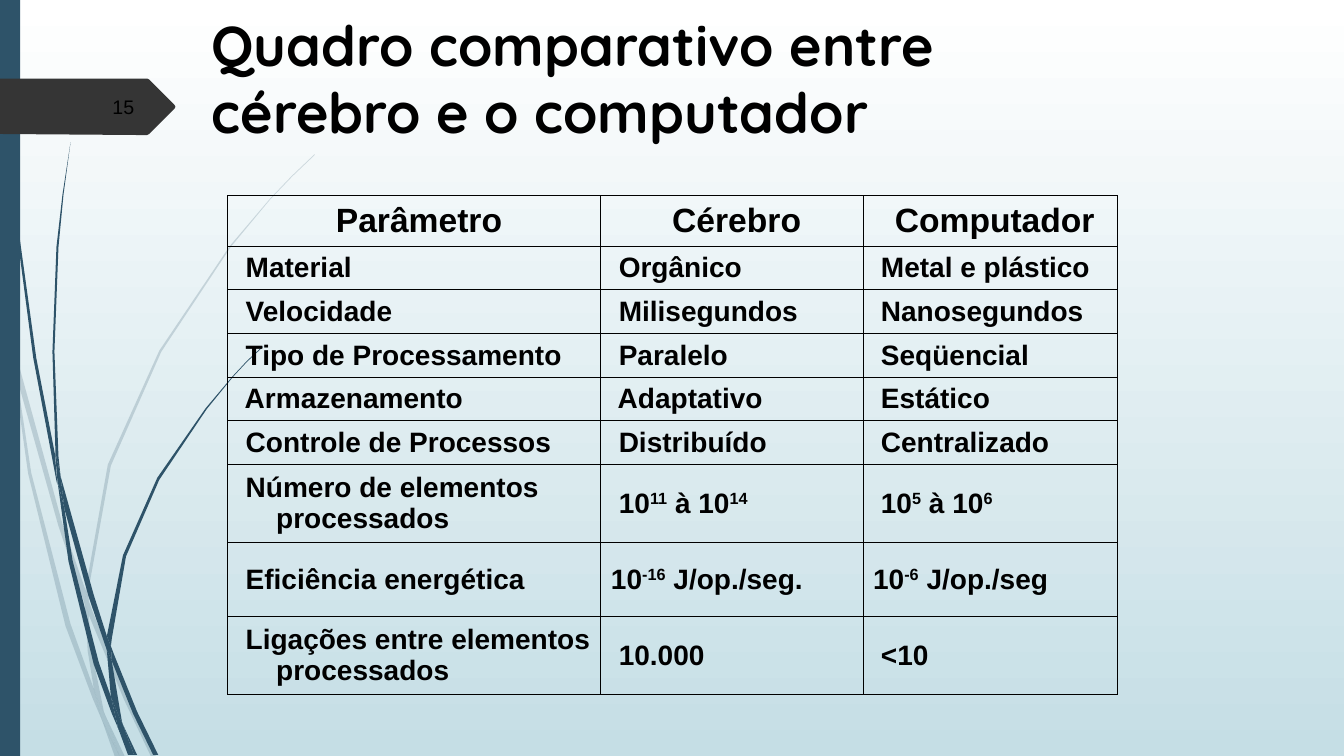
from dataclasses import dataclass
from typing import Any

from lxml import etree
from pptx import Presentation
from pptx.dml.color import RGBColor
from pptx.enum.shapes import MSO_SHAPE
from pptx.enum.text import MSO_ANCHOR, MSO_AUTO_SIZE, PP_ALIGN
from pptx.oxml.ns import qn
from pptx.util import Inches, Pt

RECT = MSO_SHAPE.RECTANGLE
TOP, MIDDLE = MSO_ANCHOR.TOP, MSO_ANCHOR.MIDDLE
LEFT, CENTER, RIGHT = PP_ALIGN.LEFT, PP_ALIGN.CENTER, PP_ALIGN.RIGHT
NO_FIT = MSO_AUTO_SIZE.NONE
BLACK, BLUE, GRAY = "000000", "2E5369", "353535"


@dataclass(frozen=True)
class Plant:
    alpha: int
    stems: tuple[str, ...]


PALE = Plant(20, (
    "11,350 9,322 0,282 0,299 10,344",
    "58,522 84,599 85,586 62,520 14,345 17,376",
    "92,607 88,596 88,610 123,694 150,751 155,751 127,692",
    "119,751 124,751 105,711",
    "93,683 70,619 31,469 17,376 11,350 28,470 65,621 92,693 101,714 99,707",
    "84,599 87,646 93,683 96,692 105,711 103,706 91,646 88,610 88,608",
    "88,584 110,462 160,349 229,245 268,198 290,175 312,154 312,153 289,175 "
    "268,197 228,244 158,348 107,461 85,584 85,586 88,596",
    "101,714 114,751 119,751",
    "88,608 88,610 88,596 85,586 84,599",
    "96,692 93,683 99,707 101,714 119,751 105,711",
))
DARK = Plant(100, (
    "7,110 17,233 33,355 56,477 57,481 55,457 55,453 36,355 19,232 8,109 "
    "5,48 4,0 3,0 4,48",
    "88,592 106,645 106,633 106,631 93,590 60,472 64,505",
    "113,649 110,641 111,656 132,708 152,749 157,749 136,706",
    "110,691 98,657 72,556 64,505 57,477 68,557 93,659 111,708 117,722 116,717",
    "60,472 58,453 54,349 58,245 63,193 70,141 62,193 56,245 52,349 55,449",
    "133,749 136,749 122,719",
    "57,477 64,505 60,472 55,449 55,453",
    "111,633 125,552 158,476 205,406 231,374 245,359 261,344 260,344 "
    "245,358 231,373 204,405 156,474 122,551 106,631 110,641",
    "117,722 127,749 131,749",
    "106,645 110,691 116,706 122,719 121,716 111,656 109,651",
    "106,645 109,651 111,656 110,641 106,631 106,633",
    "116,706 110,691 116,717 117,722 130,749 133,749 122,719",
))
TAG = ("173,108 148,133 146,134 136,134 0,133 0,78 136,78 146,78 "
       "148,79 173,104 174,106")

ROWS = (
    (" Parâmetro", " Cérebro", " Computador"),
    (" Material", " Orgânico", " Metal e plástico"),
    (" Velocidade", " Milisegundos", " Nanosegundos"),
    (" Tipo de Processamento", " Paralelo", " Seqüencial"),
    (" Armazenamento", " Adaptativo", " Estático"),
    (" Controle de Processos", " Distribuído", " Centralizado"),
    (" Número de elementos processados", " 10^11^ à 10^14", " 10^5^ à 10^6"),
    (" Eficiência energética", "10^-16^ J/op./seg.", "10^-6^ J/op./seg"),
    (" Ligações entre elementos processados", " 10.000", " <10"),
)
WIDTHS = (3.7, 2.6, 2.52)
HEIGHTS = (0.5, *[2.17 / 5] * 5, 0.77, 0.74, 0.77)


def color(code: str) -> RGBColor:
    return RGBColor.from_string(code)


def style(item: Any, form: dict[str, Any]) -> None:
    for name, value in form.items():
        setattr(item, name, value)


def write(para: Any, text: str, face: str, size: int, bold: bool) -> None:
    for spot, part in enumerate(text.split("^")):
        run = para.add_run()
        run.text = part
        style(run.font, {"name": face, "size": Pt(size), "bold": bold})
        run.font.color.rgb = color(BLACK)
        if spot % 2:
            run._r.get_or_add_rPr().set("baseline", "30000")


def paint(shape: Any, code: str, alpha: int = 100) -> None:
    shape.shadow.inherit = False
    shape.line.fill.background()
    shape.fill.solid()
    shape.fill.fore_color.rgb = color(code)
    if alpha < 100:
        tint = shape._element.spPr.find(".//" + qn("a:srgbClr"))
        etree.SubElement(tint, qn("a:alpha")).set("val", str(alpha * 1000))


def trace(shapes: Any, text: str, code: str, alpha: int = 100) -> None:
    first, *rest = [tuple(map(int, dot.split(","))) for dot in text.split()]
    pen = shapes.build_freeform(*first, scale=Inches(0.01))
    pen.add_line_segments(rest, close=True)
    paint(pen.convert_to_shape(), code, alpha)


def border(cell: Any) -> None:
    props = cell._tc.get_or_add_tcPr()
    for side in ("lnL", "lnR", "lnT", "lnB"):
        line = etree.SubElement(props, qn("a:" + side), w=str(Pt(0.75)))
        fill = etree.SubElement(line, qn("a:solidFill"))
        etree.SubElement(fill, qn("a:srgbClr"), val=BLACK)


def add_grid(shapes: Any) -> None:
    frame = shapes.add_table(
        len(ROWS), len(WIDTHS), Inches(2.26), Inches(1.94),
        Inches(sum(WIDTHS)), Inches(sum(HEIGHTS)))
    grid = frame.table
    style(grid, {"first_row": False, "horz_banding": False})
    for col, width in zip(grid.columns, WIDTHS):
        col.width = Inches(width)
    for row, height, texts in zip(grid.rows, HEIGHTS, ROWS):
        row.height = Inches(height)
        head = texts is ROWS[0]
        for cell, text in zip(row.cells, texts):
            border(cell)
            cell.fill.background()
            cell.vertical_anchor = MIDDLE
            para = cell.text_frame.paragraphs[0]
            para.alignment = CENTER if head else LEFT
            props = para._p.get_or_add_pPr()
            props.set("marL", str(Inches(0.38)))
            props.set("indent", str(Inches(-0.38)))
            write(para, text, "Arial", 24 if head else 20, True)


def main() -> None:
    deck = Presentation()
    style(deck, {"slide_width": Inches(13.33), "slide_height": Inches(7.5)})
    slide = deck.slides.add_slide(deck.slide_layouts[5])
    shapes = slide.shapes

    back = slide.background.fill
    back.gradient()
    back.gradient_angle = 270
    for stop, place, code in zip(back.gradient_stops, (0, 1), ("FFFFFF", "C5DEE5")):
        stop.position = place
        stop.color.rgb = color(code)

    for plant in (PALE, DARK):
        group = shapes.add_group_shape()
        for stem in plant.stems:
            trace(group.shapes, stem, BLUE, plant.alpha)
    paint(shapes.add_shape(RECT, 0, 0, Inches(0.2), Inches(7.5)), BLUE)
    trace(shapes, TAG, GRAY)

    page = shapes.add_textbox(Inches(0.58), Inches(0.86), Inches(0.85), Inches(0.4))
    style(page.text_frame, {"word_wrap": True, "vertical_anchor": MIDDLE})
    para = page.text_frame.paragraphs[0]
    para.alignment = RIGHT
    write(para, "15", "Arial", 14, False)

    add_grid(shapes)

    title = shapes.title
    style(title, {"left": Inches(2), "top": Inches(0.05),
                  "width": Inches(9.31), "height": Inches(1.45)})
    style(title.text_frame, {"word_wrap": True, "vertical_anchor": TOP,
                             "auto_size": NO_FIT})
    para = title.text_frame.paragraphs[0]
    para.alignment = LEFT
    write(para, "Quadro comparativo entre cérebro e o computador",
          "Quicksand", 40, True)
    deck.save("out.pptx")


if __name__ == "__main__":
    main()
